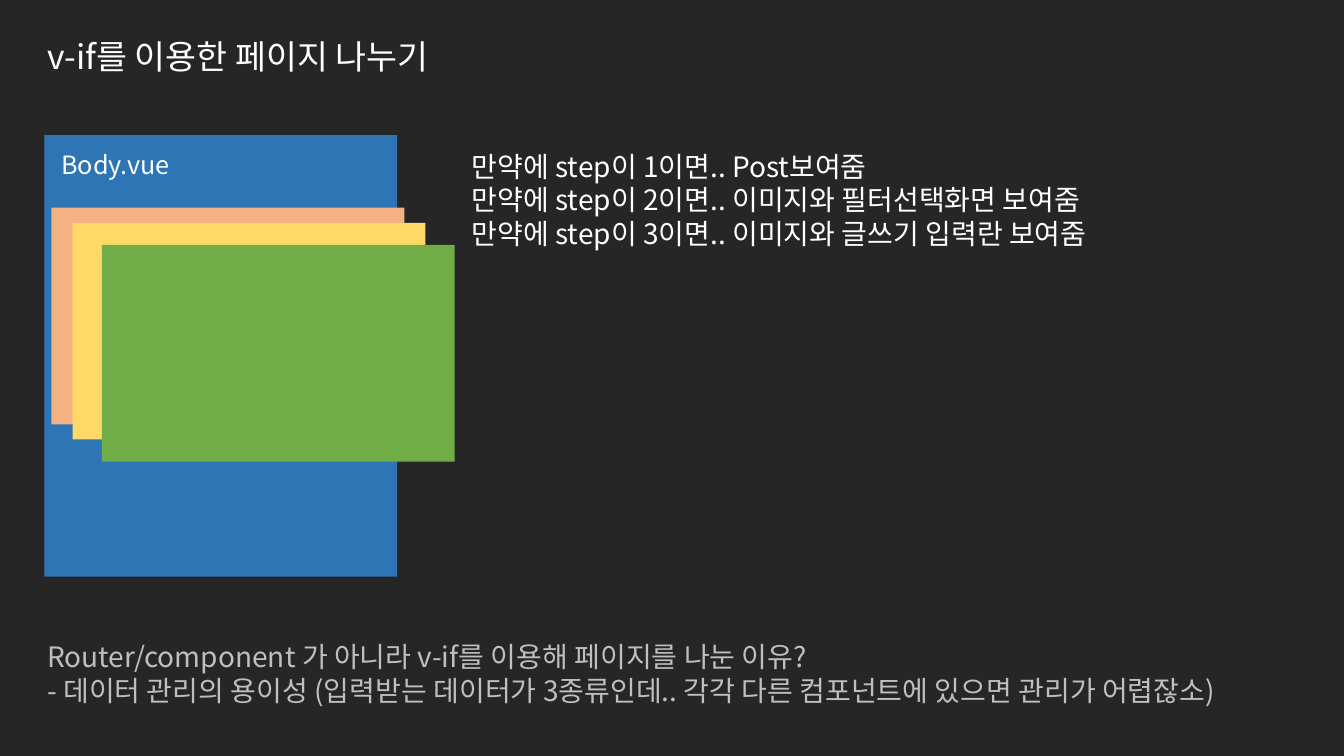
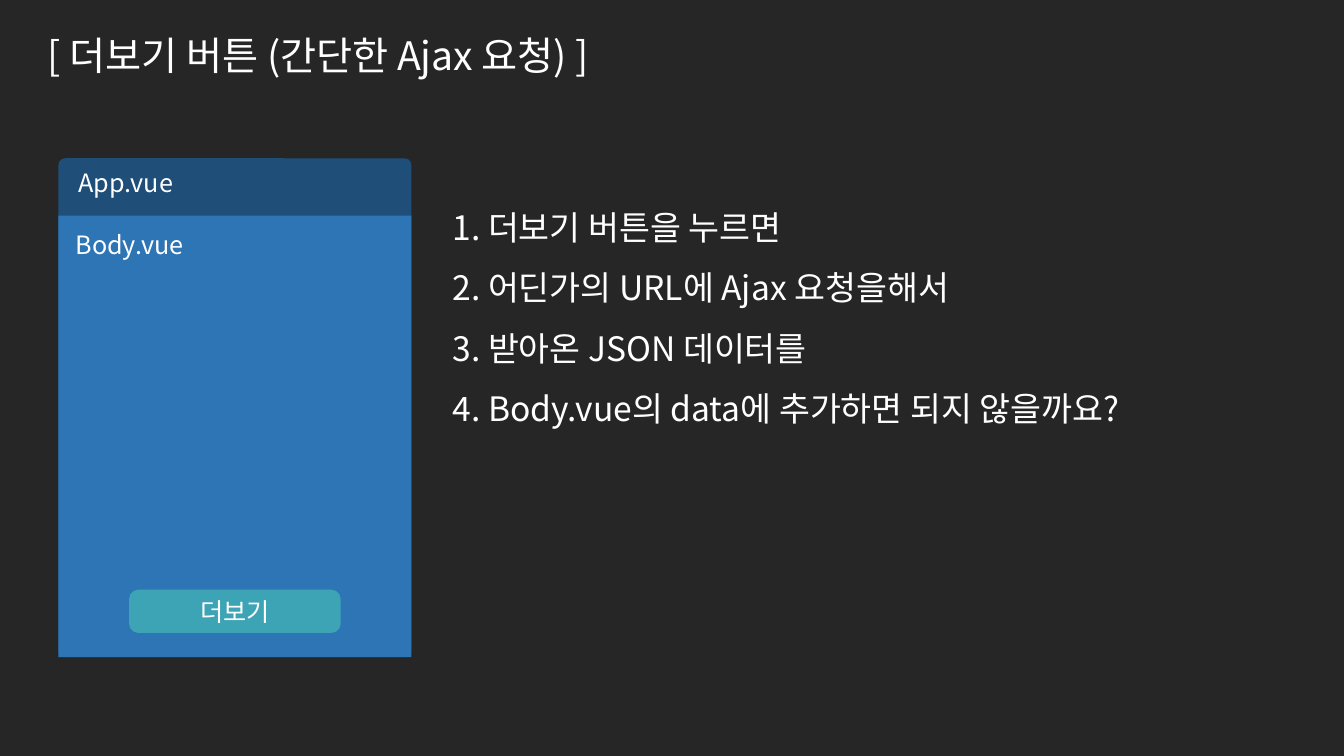
from pptx import Presentation
from pptx.dml.color import RGBColor as RGB
from pptx.enum.shapes import MSO_SHAPE as Kind
from pptx.enum.text import MSO_ANCHOR as Anchor, MSO_AUTO_SIZE as Fit, PP_ALIGN as Align
from pptx.oxml.ns import qn
from pptx.util import Pt
from lxml import etree

PX = 9144  # 100 px to the inch
FONT = "Noto Sans CJK KR"
DARK = RGB(0x26, 0x26, 0x26)
WHITE = RGB(0xFF, 0xFF, 0xFF)
GREY = RGB(0xBF, 0xBF, 0xBF)
BLUE = RGB(0x2E, 0x75, 0xB6)
NAVY = RGB(0x1F, 0x4E, 0x79)
TEAL = RGB(0x3D, 0xA4, 0xB5)
PEACH = RGB(0xF4, 0xB1, 0x83)
YELLOW = RGB(0xFF, 0xD9, 0x66)
GREEN = RGB(0x70, 0xAD, 0x47)

CARD_W, CARD_H = 350, 438


def write(shape, lines, size, color=WHITE, gap=1.0, align=Align.LEFT, **form):
    frame = shape.text_frame
    base = {"word_wrap": True, "auto_size": Fit.SHAPE_TO_FIT_TEXT,
            "vertical_anchor": Anchor.TOP}
    for key, value in (base | form).items():
        setattr(frame, key, value)
    frame.text = "\n".join(lines)
    for para in frame.paragraphs:
        para.line_spacing, para.alignment = gap, align
        font = para.runs[0].font
        look = {"name": FONT, "size": Pt(size)}
        for key, value in look.items():
            setattr(font, key, value)
        font.color.rgb = color
        # Hangul takes its font from the East Asian slot
        east = etree.SubElement(para.runs[0]._r.get_or_add_rPr(), qn("a:ea"))
        east.set("typeface", FONT)


def block(slide, box, color, curve=0):
    shape = slide.shapes.add_shape(Kind.ROUNDED_RECTANGLE, *[n * PX for n in box])
    shape.adjustments[0] = curve
    shape.shadow.inherit = False
    shape.fill.solid()
    shape.fill.fore_color.rgb = color
    shape.line.fill.background()
    return shape


deck = Presentation()
deck.slide_width, deck.slide_height = 1333 * PX, 750 * PX
back = deck.slide_master.background.fill
back.solid()
back.fore_color.rgb = DARK

# Titles
heads = [
    ("v-if를 이용한 페이지 나누기", 24, (37, 27, 957, 55)),
    ("[ 더보기 버튼 (간단한 Ajax 요청) ]", 28, (37, 21, 835, 62)),
]
slides = []
for words, size, box in heads:
    slide = deck.slides.add_slide(deck.slide_layouts[5])
    title = slide.shapes.title
    for key, n in zip(("left", "top", "width", "height"), box):
        setattr(title, key, n * PX)
    write(title, [words], size, gap=1.1)
    slides.append(slide)
pages, more = slides

# Cards: the app frame behind the second body, then both bodies
block(more, (58, 157, CARD_W, 495), NAVY, 0.019)
for slide, x, y in ((pages, 44, 134), (more, 58, 214)):
    block(slide, (x, y, CARD_W, CARD_H), BLUE)
    label = slide.shapes.add_textbox((x + 7) * PX, (y + 9) * PX, 127 * PX, 40 * PX)
    write(label, ["Body.vue"], 18, align=Align.CENTER, word_wrap=False)

# Stacked views, one for each step
for x, y, color in ((51, 206, PEACH), (72, 221, YELLOW), (101, 243, GREEN)):
    block(pages, (x, y, CARD_W, 215), color)

# Button
button = block(more, (128, 585, 210, 43), TEAL, 0.219)
write(button, ["더보기"], 18, align=Align.CENTER,
      auto_size=Fit.NONE, vertical_anchor=Anchor.MIDDLE)

# Texts
steps = [
    "만약에 step이 1이면.. Post보여줌",
    "만약에 step이 2이면.. 이미지와 필터선택화면 보여줌",
    "만약에 step이 3이면.. 이미지와 글쓰기 입력란 보여줌",
]
reason = [
    "Router/component 가 아니라 v-if를 이용해 페이지를 나눈 이유?",
    "- 데이터 관리의 용이성 (입력받는 데이터가 3종류인데.. "
    "각각 다른 컴포넌트에 있으면 관리가 어렵잖소)",
]
flow = [
    "1. 더보기 버튼을 누르면",
    "2. 어딘가의 URL에 Ajax 요청을해서",
    "3. 받아온 JSON 데이터를",
    "4. Body.vue의 data에 추가하면 되지 않을까요?",
]
texts = [
    (pages, (458, 143, 750, 111), steps, 20, WHITE, 1.0),
    (pages, (37, 630, 1226, 77), reason, 20, GREY, 1.0),
    (more, (439, 180, 795, 293), flow, 24, WHITE, 1.5),
    (more, (68, 161, 340, 40), ["App.vue"], 18, WHITE, 1.0),
]
for slide, box, lines, size, color, gap in texts:
    area = slide.shapes.add_textbox(*[n * PX for n in box])
    write(area, lines, size, color, gap)

deck.save("out.pptx")
